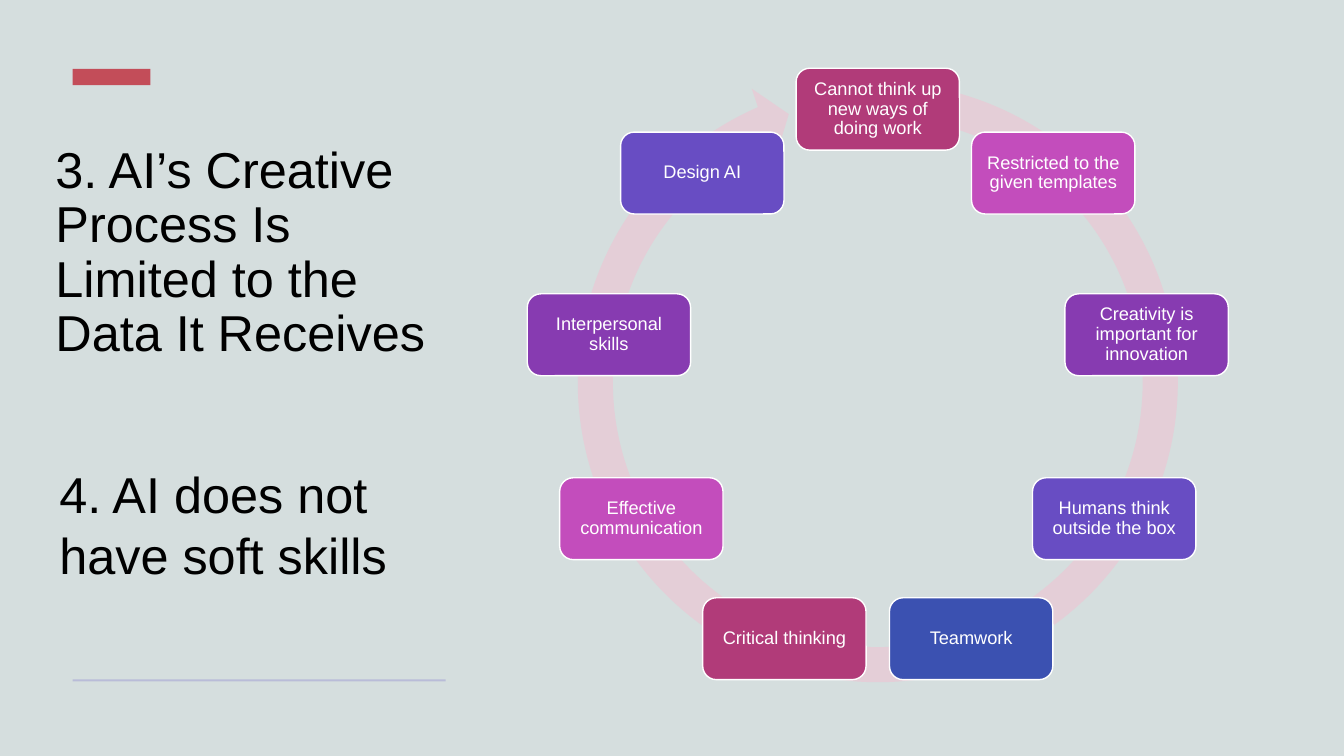
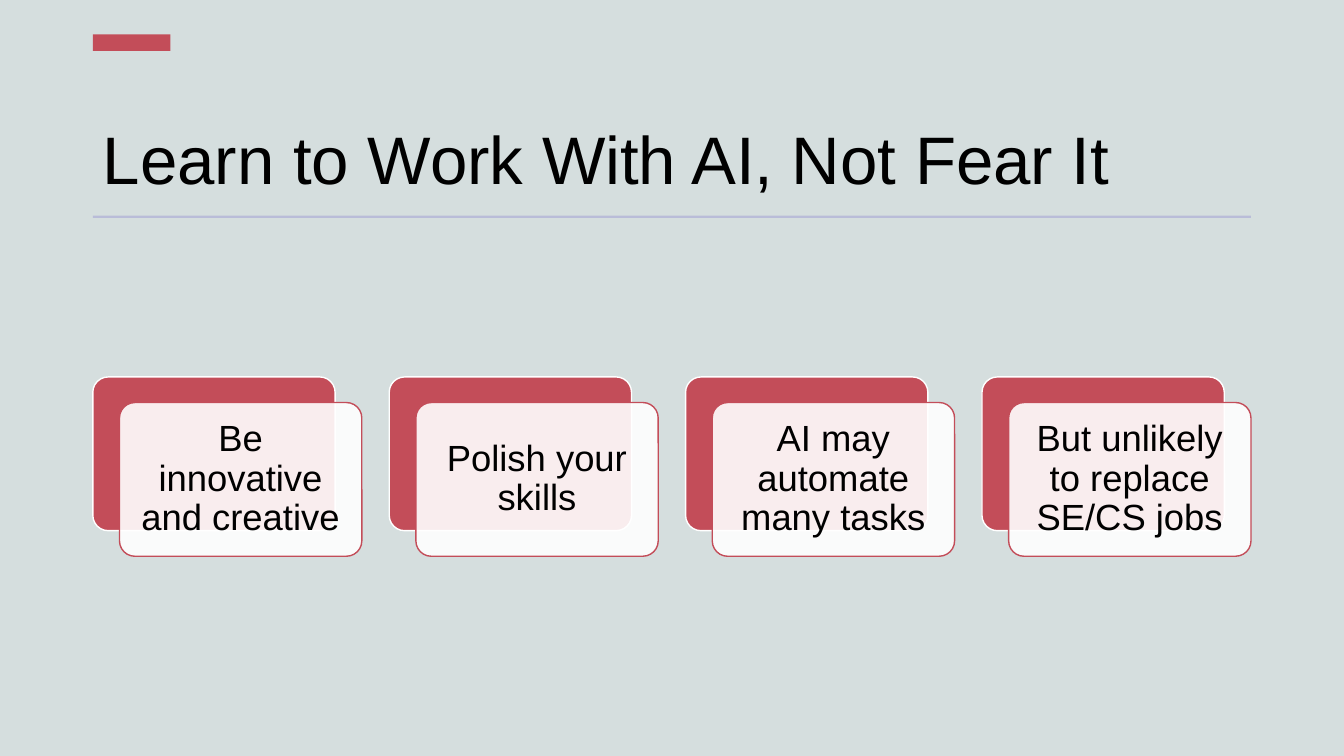
from itertools import cycle
from math import cos, radians, sin

from lxml import etree
from pptx import Presentation
from pptx.dml.color import RGBColor
from pptx.enum.shapes import MSO_SHAPE
from pptx.enum.text import MSO_ANCHOR, MSO_AUTO_SIZE, PP_ALIGN
from pptx.oxml.ns import qn
from pptx.util import Inches, Pt

RECTANGLE = MSO_SHAPE.RECTANGLE
ROUNDED = MSO_SHAPE.ROUNDED_RECTANGLE
CIRCULAR_ARROW = MSO_SHAPE.CIRCULAR_ARROW
TOP, MIDDLE, BOTTOM = MSO_ANCHOR.TOP, MSO_ANCHOR.MIDDLE, MSO_ANCHOR.BOTTOM
LEFT, CENTER = PP_ALIGN.LEFT, PP_ALIGN.CENTER
NO_FIT = MSO_AUTO_SIZE.NONE
TITLE_ONLY = 5

COLUMNS, ROWS = 64, 36
BACKGROUND, ACCENT, RULE = "D5DEDE", "C34D59", "B9BCD8"
RING, WHITE, BLACK = "E4CED7", "FFFFFF", "000000"
NODE_COLORS = ["B13B79", "C34DBC", "873BB1", "684DC3", "3B51B1"]

LIMITS = [
    "Cannot think up new ways of doing work",
    "Restricted to the given templates",
    "Creativity is important for innovation",
    "Humans think outside the box",
    "Teamwork",
    "Critical thinking",
    "Effective communication",
    "Interpersonal skills",
    "Design AI",
]
ADVICE = [
    "Be innovative and creative",
    "Polish your skills",
    "AI may automate many tasks",
    "But unlikely to replace SE/CS jobs",
]


def color(value):
    return RGBColor.from_string(value)


def assign(target, values):
    for name, value in values.items():
        setattr(target, name, value)


class Deck:
    font = "Arial"

    def __init__(self):
        self.deck = Presentation()
        assign(self.deck, {"slide_width": Inches(13.33), "slide_height": Inches(7.5)})
        fill = self.deck.slide_master.background.fill
        fill.solid()
        fill.fore_color.rgb = color(BACKGROUND)
        self.page = None

    def place(self, left, top, width, height):
        column = self.deck.slide_width / COLUMNS
        row = self.deck.slide_height / ROWS
        return [round(left * column), round(top * row),
                round(width * column), round(height * row)]

    def label(self, shape, text, size, ink, anchor, align, spacing=0.9, inset=None):
        frame = shape.text_frame
        frame.text = text
        assign(frame, {"word_wrap": True, "auto_size": NO_FIT, "vertical_anchor": anchor})
        if inset is not None:
            sides = ("left", "top", "right", "bottom")
            assign(frame, {f"margin_{side}": Inches(inset) for side in sides})
        para = frame.paragraphs[0]
        assign(para, {"alignment": align, "line_spacing": spacing})
        assign(para.font, {"name": self.font, "size": Pt(size)})
        para.font.color.rgb = color(ink)

    def start(self, title, area, size, anchor):
        self.page = self.deck.slides.add_slide(self.deck.slide_layouts[TITLE_ONLY])
        shape = self.page.shapes.title
        assign(shape, dict(zip(("left", "top", "width", "height"), self.place(*area))))
        self.label(shape, title, size, BLACK, anchor, LEFT)

    def shape(self, kind, area, fill, line=None, adjust=(), opacity=None):
        shape = self.page.shapes.add_shape(kind, *self.place(*area))
        shape.shadow.inherit = False
        shape.fill.solid()
        shape.fill.fore_color.rgb = color(fill)
        if opacity is not None:
            tint = shape.element.spPr.find(qn("a:solidFill")).find(qn("a:srgbClr"))
            etree.SubElement(tint, qn("a:alpha")).set("val", str(opacity * 1000))
        if line:
            shape.line.color.rgb = color(line)
            shape.line.width = Pt(1)
        else:
            shape.line.fill.background()
        for index, percent in enumerate(adjust):
            shape.adjustments[index] = percent / 100
        return shape

    def text(self, text, area, size):
        box = self.page.shapes.add_textbox(*self.place(*area))
        self.label(box, text, size, BLACK, TOP, LEFT, spacing=1.0)

    def decorate(self, left, accent_top, rule_top, rule_width):
        self.shape(RECTANGLE, (left, accent_top, 3.7, 0.78), ACCENT)
        self.shape(RECTANGLE, (left, rule_top, rule_width, 0.1), RULE)

    def ring(self, labels, center, radius, node_size):
        across, down = center
        width, height = node_size
        span = 30.43
        self.shape(CIRCULAR_ARROW, (across - span / 2, down - span / 2, span, span),
                   RING, adjust=(5.5, 330.7, 14768.4, 16806.9, 5.8))
        for index, (label, fill) in enumerate(zip(labels, cycle(NODE_COLORS))):
            angle = radians(360 / len(labels) * index)
            left = across + radius * sin(angle) - width / 2
            top = down - radius * cos(angle) - height / 2
            node = self.shape(ROUNDED, (left, top, width, height), fill, WHITE)
            self.label(node, label, 13, WHITE, MIDDLE, CENTER, inset=0.05)

    def cards(self, labels, left, top, total, size, offset):
        width, height = size
        right, down = offset
        step = (total - width - right) / (len(labels) - 1)
        for index, label in enumerate(labels):
            start = left + index * step
            self.shape(ROUNDED, (start, top, width, height), ACCENT, WHITE, [10])
            card = self.shape(ROUNDED, (start + right, top + down, width, height),
                              WHITE, ACCENT, [10], opacity=90)
            self.label(card, label, 26, BLACK, MIDDLE, CENTER, inset=0.11)


def main():
    deck = Deck()

    deck.start("3. AI’s Creative Process Is Limited to the Data It Receives",
               (2.16, 7.3, 20.4, 9.55), 36, MIDDLE)
    deck.decorate(3.46, 3.28, 32.35, 17.76)
    deck.ring(LIMITS, (41.8, 18.2), 13, (7.78, 3.9))
    deck.text("4. AI does not have soft skills", (2.35, 21.84, 19.6, 6.3), 36)

    left, total = 4.42, 55.15
    deck.start("Learn to Work With AI, Not Fear It", (left, 3.6, total, 6.1), 48, BOTTOM)
    deck.decorate(left, 1.64, 10.27, total)
    deck.cards(ADVICE, left, 17.95, total, (11.54, 7.32), (1.27, 1.22))

    deck.deck.save("out.pptx")


if __name__ == "__main__":
    main()
